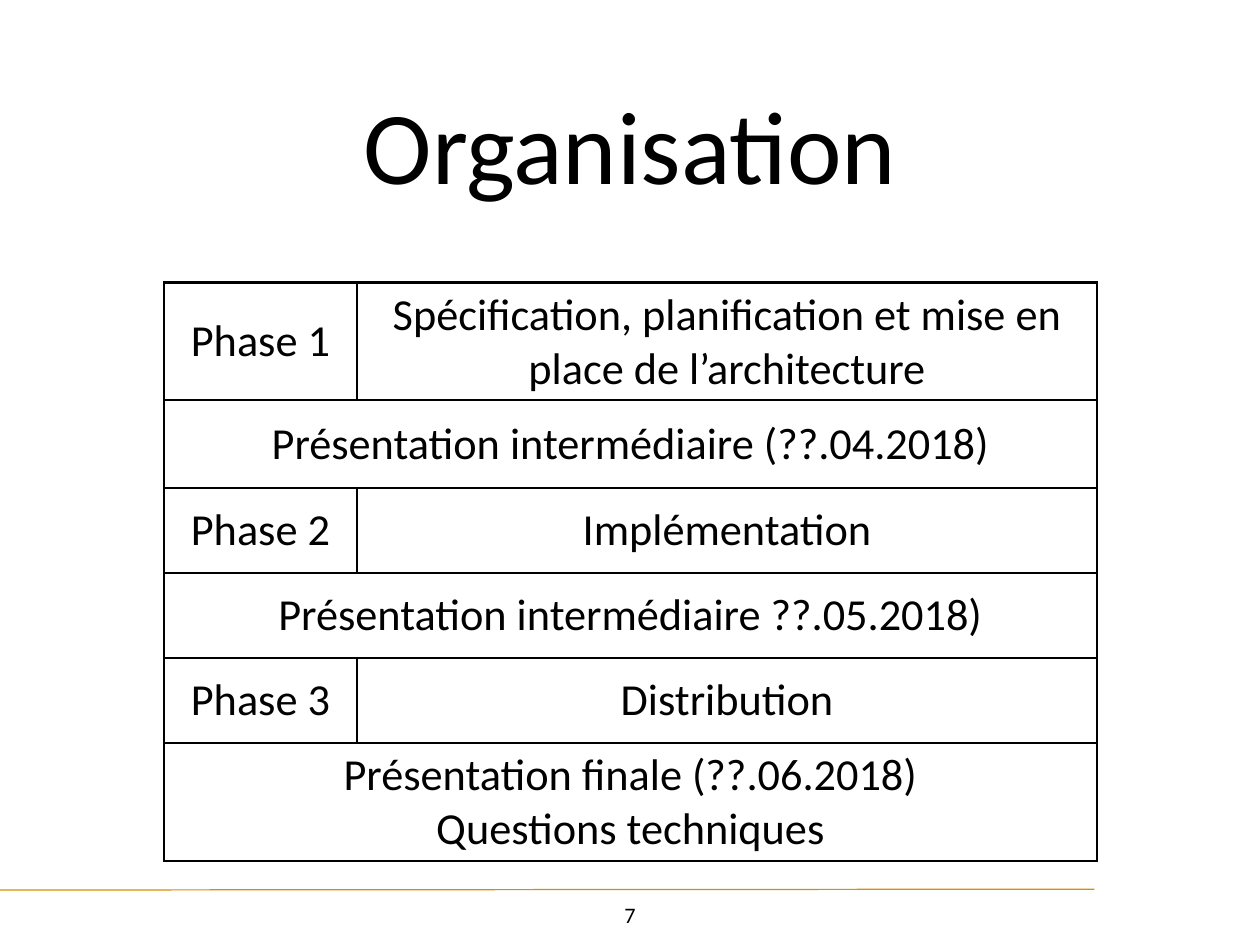
import pptx
import pptx.dml.color
import pptx.enum.shapes
import pptx.enum.text
import pptx.oxml
import pptx.oxml.ns
import pptx.util
import lxml.etree

Inches = pptx.util.Inches
Pt = pptx.util.Pt
INSET = Inches(0.06)
MARGINS = {"margin_left": INSET, "margin_right": INSET,
           "margin_top": INSET, "margin_bottom": INSET}
MIDDLE = pptx.enum.text.MSO_ANCHOR.MIDDLE
PHASES = [
    ("Phase 1", "Spécification, planification et mise en place de l’architecture",
     "Présentation intermédiaire (??.04.2018)"),
    ("Phase 2", "Implémentation", "Présentation intermédiaire ??.05.2018)"),
    ("Phase 3", "Distribution", "Présentation finale (??.06.2018)\nQuestions techniques"),
]
COLUMN_WIDTHS = [2.18, 8.35]
ROW_HEIGHTS = [1.33, 0.99, 0.96, 0.96, 0.96, 1.33]


def rgb(value):
    return pptx.dml.color.RGBColor.from_string(value)


def set_attributes(target, values):
    for name, value in values.items():
        setattr(target, name, value)


def write_text(tf, text, size):
    tf.text = text
    for p in tf.paragraphs:
        p.alignment = pptx.enum.text.PP_ALIGN.CENTER
        for r in p.runs:
            set_attributes(r.font, {"name": "Calibri", "size": Pt(size)})
            r.font.color.rgb = rgb("000000")


def add_text(s, box, text, size, **frame_format):
    tf = s.shapes.add_textbox(*map(Inches, box)).text_frame
    set_attributes(tf, {**MARGINS, "word_wrap": True, **frame_format})
    write_text(tf, text, size)


def set_borders(cell, color, width):
    tc_pr = cell._tc.get_or_add_tcPr()
    for side in ("lnL", "lnR", "lnT", "lnB"):
        tc_pr.append(pptx.oxml.parse_xml(
            f'<a:{side} {pptx.oxml.ns.nsdecls("a")} w="{Pt(width)}">'
            f'<a:solidFill><a:srgbClr val="{color}"/></a:solidFill></a:{side}>'))


def add_phase_table(s, left, top):
    box = (left, top, sum(COLUMN_WIDTHS), sum(ROW_HEIGHTS))
    table = s.shapes.add_table(len(ROW_HEIGHTS), len(COLUMN_WIDTHS),
                               *map(Inches, box)).table
    set_attributes(table, {"first_row": False, "horz_banding": False})
    for column, width in zip(table.columns, COLUMN_WIDTHS):
        column.width = Inches(width)
    for row, height in zip(table.rows, ROW_HEIGHTS):
        row.height = Inches(height)
    for cell in table.iter_cells():
        set_attributes(cell, {**MARGINS, "vertical_anchor": MIDDLE})
        set_borders(cell, "000000", 2)
        cell.fill.background()
    for i, (phase, task, presentation) in enumerate(PHASES):
        work, milestone = 2 * i, 2 * i + 1
        table.cell(milestone, 0).merge(table.cell(milestone, 1))
        for row, column, text in ((work, 0, phase), (work, 1, task),
                                  (milestone, 0, presentation)):
            write_text(table.cell(row, column).text_frame, text, 36)


def add_footer(s, left, top, right):
    rule = s.shapes.add_connector(
        pptx.enum.shapes.MSO_CONNECTOR.STRAIGHT,
        *map(Inches, (left, top + 0.01, right, top)))
    rule.line.color.rgb = rgb("D79000")
    rule.line.width = Pt(1)
    lxml.etree.SubElement(rule._element.spPr, pptx.oxml.ns.qn("a:effectLst"))
    add_text(s, (6.92, top + 0.08, 0.38, 0.4), "7", 18, word_wrap=False)


def main():
    prs = pptx.Presentation()
    set_attributes(prs, {"slide_width": Inches(14.22), "slide_height": Inches(10.67)})
    s = prs.slides.add_slide(prs.slide_layouts[6])
    add_footer(s, -0.39, 10.04, 12.35)
    add_text(s, (1.39, 0.28, 11.44, 2.67), "Organisation", 84, vertical_anchor=MIDDLE)
    add_phase_table(s, 1.85, 3.19)
    prs.save("out.pptx")


if __name__ == "__main__":
    main()
